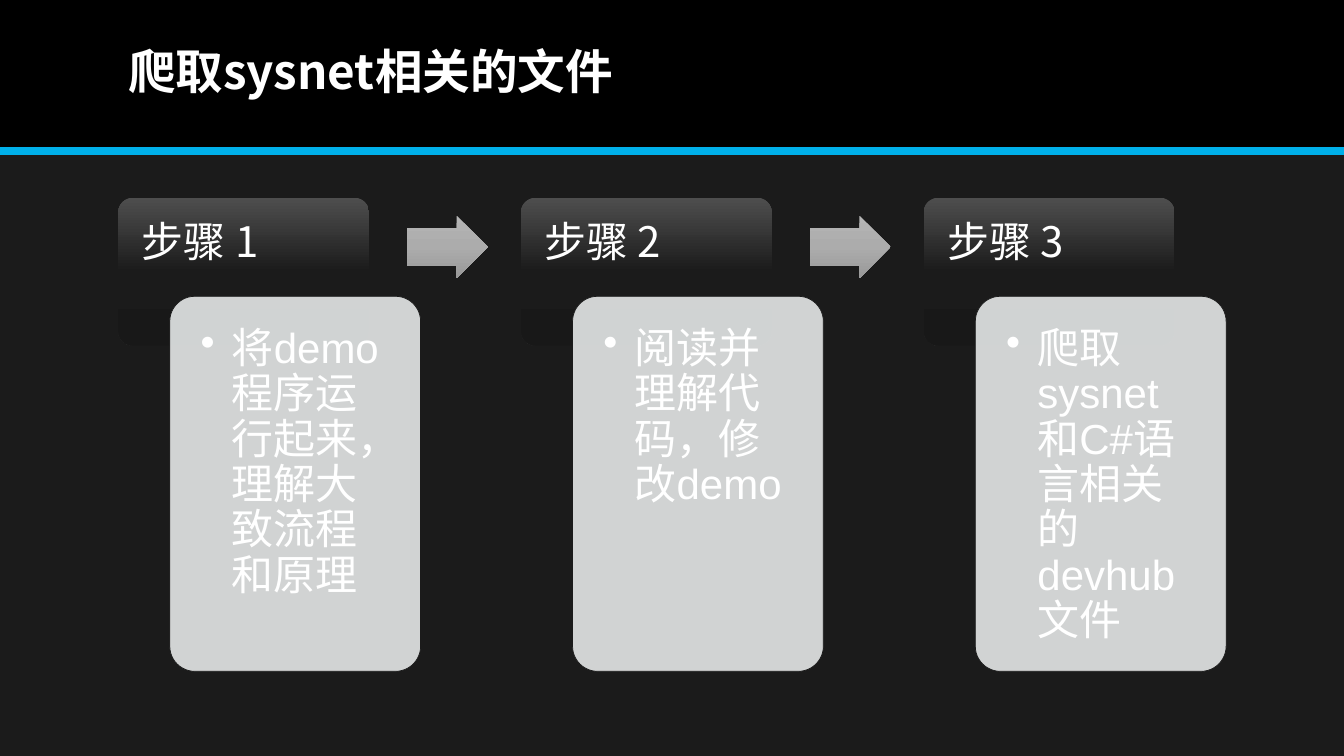
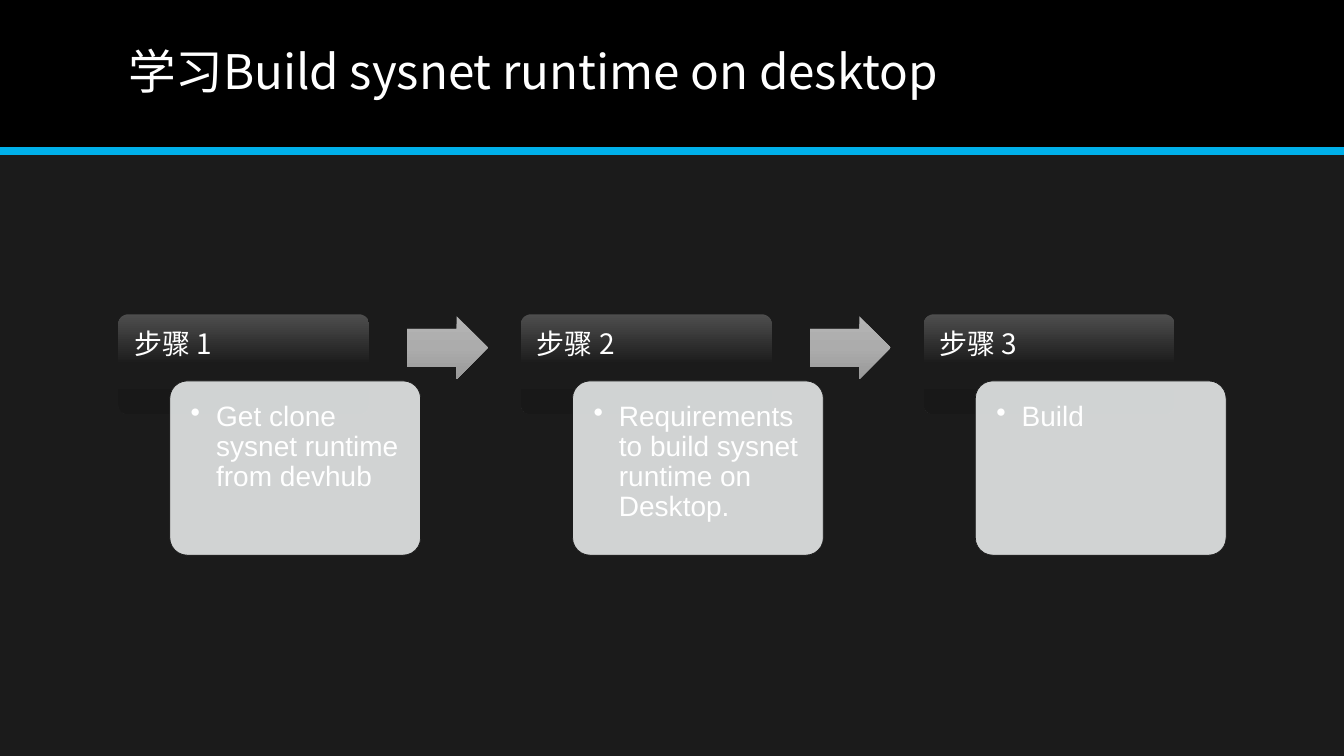
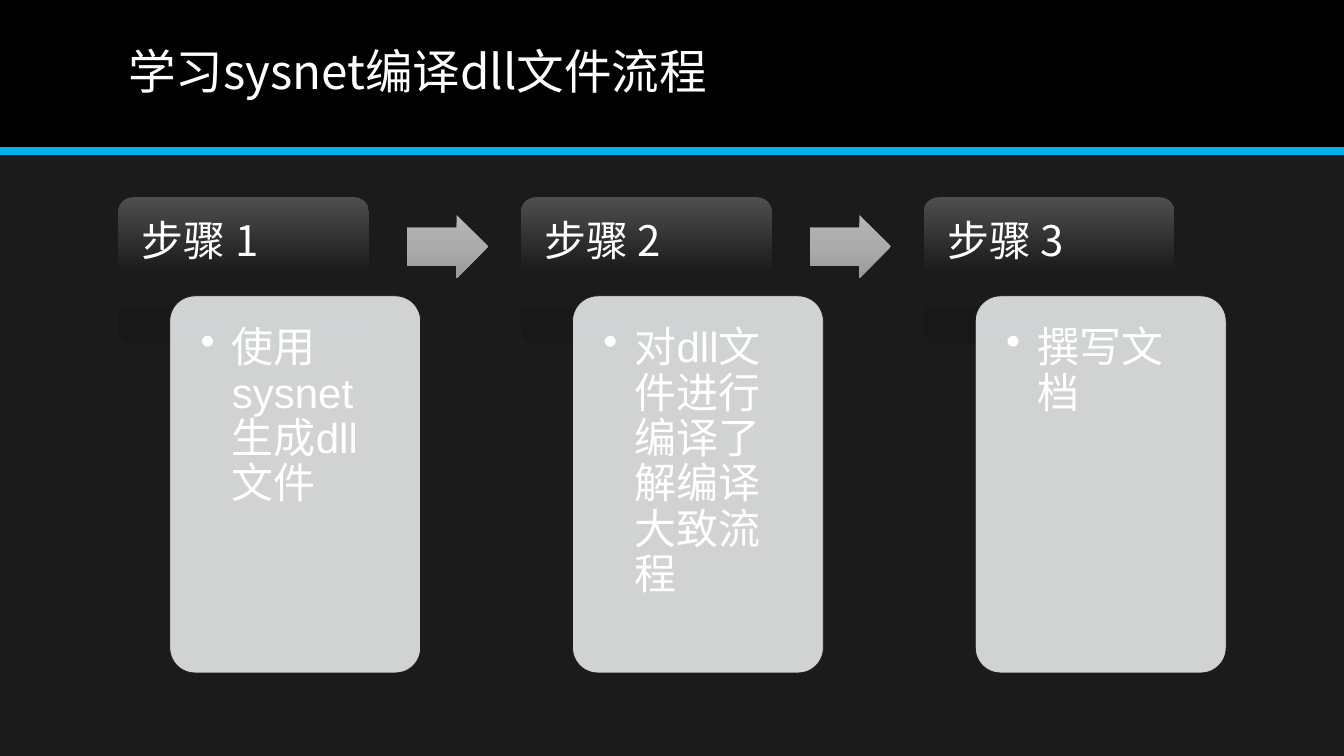
from copy import deepcopy
from dataclasses import dataclass

from pptx import Presentation
from pptx.dml.color import RGBColor
from pptx.enum.shapes import MSO_CONNECTOR, MSO_SHAPE
from pptx.enum.text import MSO_ANCHOR, PP_ALIGN
from pptx.oxml.ns import qn
from pptx.oxml.xmlchemy import OxmlElement
from pptx.shapes.autoshape import Shape
from pptx.slide import Slide
from pptx.util import Cm, Pt

HEADING_FONT = "Noto Sans CJK SC"
BODY_FONT = "Arial"
BACKGROUND = "1B1B1B"
BLACK = "000000"
WHITE = "FFFFFF"
ACCENT = "00B0EA"
CARD = "E5E8E8"
HEADER_SHADES = ("4E4E4E", "1B1B1B", "181818")
ARROW_SHADES = ("B5B5B5", "ACACAC", "999999")

SLIDE_WIDTH, SLIDE_HEIGHT = Cm(33.87), Cm(19.05)
BAND_HEIGHT = Cm(3.81)
LEFT = Cm(2.98)
STEP_PITCH = Cm(10.15)
STEP_WIDTH = Cm(6.32)
CARD_SHIFT = Cm(1.3)
ARROW_SHIFT = Cm(7.28)
ARROW_WIDTH, ARROW_HEIGHT = Cm(2.04), Cm(1.58)
CORNER = 0.1
CORNER_INSET = 0.29  # share of the corner radius that a rounded box keeps free of text


@dataclass
class StepSize:
    font: int
    inset: Cm
    indent: Cm
    header_height: Cm


@dataclass
class Process:
    title: str
    steps: tuple[str, ...]
    size: StepSize
    top: Cm
    card_height: Cm
    bold: bool = False


LARGE = StepSize(30, Cm(0.59), Cm(0.79), Cm(3.73))
SMALL = StepSize(20, Cm(0.4), Cm(0.64), Cm(2.52))

PROCESSES = (
    Process("爬取sysnet相关的文件",
            ("将demo程序运行起来，理解大致流程和原理",
             "阅读并理解代码，修改demo",
             "爬取sysnet和C#语言相关的devhub文件"),
            LARGE, Cm(4.98), Cm(9.45), bold=True),
    Process("学习Build sysnet runtime on desktop",
            ("Get clone sysnet runtime from devhub",
             "Requirements to build sysnet runtime on Desktop.",
             "Build"),
            SMALL, Cm(7.92), Cm(4.39)),
    Process("学习sysnet编译dll文件流程",
            ("使用sysnet生成dll文件",
             "对dll文件进行编译了解编译大致流程",
             "撰写文档"),
            LARGE, Cm(4.97), Cm(9.5)),
)


def rgb(value: str) -> RGBColor:
    return RGBColor.from_string(value)


def write(shape: Shape, text: str, *, size: int, font: str = HEADING_FONT,
          bold: bool = False, inset: int | None = None,
          anchor: MSO_ANCHOR = MSO_ANCHOR.TOP, bullet_indent: int = 0) -> None:
    frame = shape.text_frame
    frame.word_wrap = True
    frame.vertical_anchor = anchor
    if inset is not None:
        frame.margin_left = frame.margin_right = inset
        frame.margin_top = frame.margin_bottom = inset
    paragraph = frame.paragraphs[0]
    paragraph.alignment = PP_ALIGN.LEFT
    paragraph.line_spacing = 0.9
    if bullet_indent:
        properties = paragraph._p.get_or_add_pPr()
        properties.set("marL", str(bullet_indent))
        properties.set("indent", str(-bullet_indent))
        bullet = OxmlElement("a:buChar")
        bullet.set("char", "•")
        properties.append(bullet)
    run = paragraph.add_run()
    run.text = text
    run.font.size = Pt(size)
    run.font.bold = bold
    run.font.name = font
    run.font.color.rgb = rgb(WHITE)
    east_asian = OxmlElement("a:ea")
    east_asian.set("typeface", font)
    run.font._rPr.find(qn("a:latin")).addnext(east_asian)


def add_plain_shape(slide: Slide, preset: MSO_SHAPE, left: int, top: int,
                    width: int, height: int, *adjustments: float) -> Shape:
    """Add a preset shape without shadow or outline."""
    shape = slide.shapes.add_shape(preset, left, top, width, height)
    shape.shadow.inherit = False
    shape.line.fill.background()
    for index, value in enumerate(adjustments):
        shape.adjustments[index] = value
    return shape


def fill_solid(shape: Shape, color: str, opacity: int = 100) -> None:
    shape.fill.solid()
    shape.fill.fore_color.rgb = rgb(color)
    if opacity < 100:
        alpha = OxmlElement("a:alpha")
        alpha.set("val", str(opacity * 1000))
        shape._element.spPr.find(qn("a:solidFill"))[0].append(alpha)


def fill_downwards(shape: Shape, shades: tuple[str, str, str]) -> None:
    """Fill with an evenly spaced gradient from top to bottom."""
    shape.fill.gradient()
    shape.fill.gradient_angle = 270
    stops = shape._element.spPr.find(qn("a:gradFill")).find(qn("a:gsLst"))
    stops.append(deepcopy(stops[0]))
    for index, (stop, shade) in enumerate(zip(shape.fill.gradient_stops, shades)):
        stop.color.rgb = rgb(shade)
        stop.position = index / (len(shades) - 1)


def add_title_band(slide: Slide, title: str, bold: bool) -> None:
    band = add_plain_shape(slide, MSO_SHAPE.RECTANGLE, 0, 0, SLIDE_WIDTH, BAND_HEIGHT)
    fill_solid(band, BLACK)
    rule = slide.shapes.add_connector(
        MSO_CONNECTOR.STRAIGHT, 0, BAND_HEIGHT, SLIDE_WIDTH, BAND_HEIGHT)
    rule.line.color.rgb = rgb(ACCENT)
    rule.line.width = Pt(6)
    rule._element.spPr.append(OxmlElement("a:effectLst"))
    heading = slide.shapes.add_textbox(LEFT, Cm(0.34), Cm(27.94), Cm(3.05))
    write(heading, title, size=34, bold=bold, anchor=MSO_ANCHOR.MIDDLE)


def add_step(slide: Slide, process: Process, index: int) -> None:
    """Draw a step's header, with the card that overlaps its lower third."""
    size = process.size
    left = LEFT + index * STEP_PITCH
    header = add_plain_shape(slide, MSO_SHAPE.ROUNDED_RECTANGLE, left, process.top,
                             STEP_WIDTH, size.header_height, CORNER)
    fill_downwards(header, HEADER_SHADES)
    corner_inset = int(size.header_height * CORNER * CORNER_INSET)
    write(header, f"步骤 {index + 1}", size=size.font, inset=size.inset - corner_inset)

    card = add_plain_shape(slide, MSO_SHAPE.ROUNDED_RECTANGLE, left + CARD_SHIFT,
                           process.top + size.header_height * 2 // 3,
                           STEP_WIDTH, process.card_height, CORNER)
    fill_solid(card, CARD, opacity=90)
    card.line.color.rgb = rgb(BACKGROUND)
    card.line.width = Pt(0.5)
    write(card, process.steps[index], size=size.font, font=BODY_FONT,
          inset=size.inset, bullet_indent=size.indent)


def add_step_arrow(slide: Slide, process: Process, index: int) -> None:
    middle = process.top + process.size.header_height // 3
    arrow = add_plain_shape(slide, MSO_SHAPE.RIGHT_ARROW,
                            LEFT + index * STEP_PITCH + ARROW_SHIFT,
                            middle - ARROW_HEIGHT // 2,
                            ARROW_WIDTH, ARROW_HEIGHT, 0.6, 0.5)
    fill_downwards(arrow, ARROW_SHADES)


def main() -> None:
    presentation = Presentation()
    presentation.slide_width, presentation.slide_height = SLIDE_WIDTH, SLIDE_HEIGHT
    backdrop = presentation.slide_master.background.fill
    backdrop.solid()
    backdrop.fore_color.rgb = rgb(BACKGROUND)
    for process in PROCESSES:
        slide = presentation.slides.add_slide(presentation.slide_layouts[6])
        add_title_band(slide, process.title, process.bold)
        for index in range(len(process.steps)):
            add_step(slide, process, index)
            if index < len(process.steps) - 1:
                add_step_arrow(slide, process, index)
    presentation.save("out.pptx")


if __name__ == "__main__":
    main()
